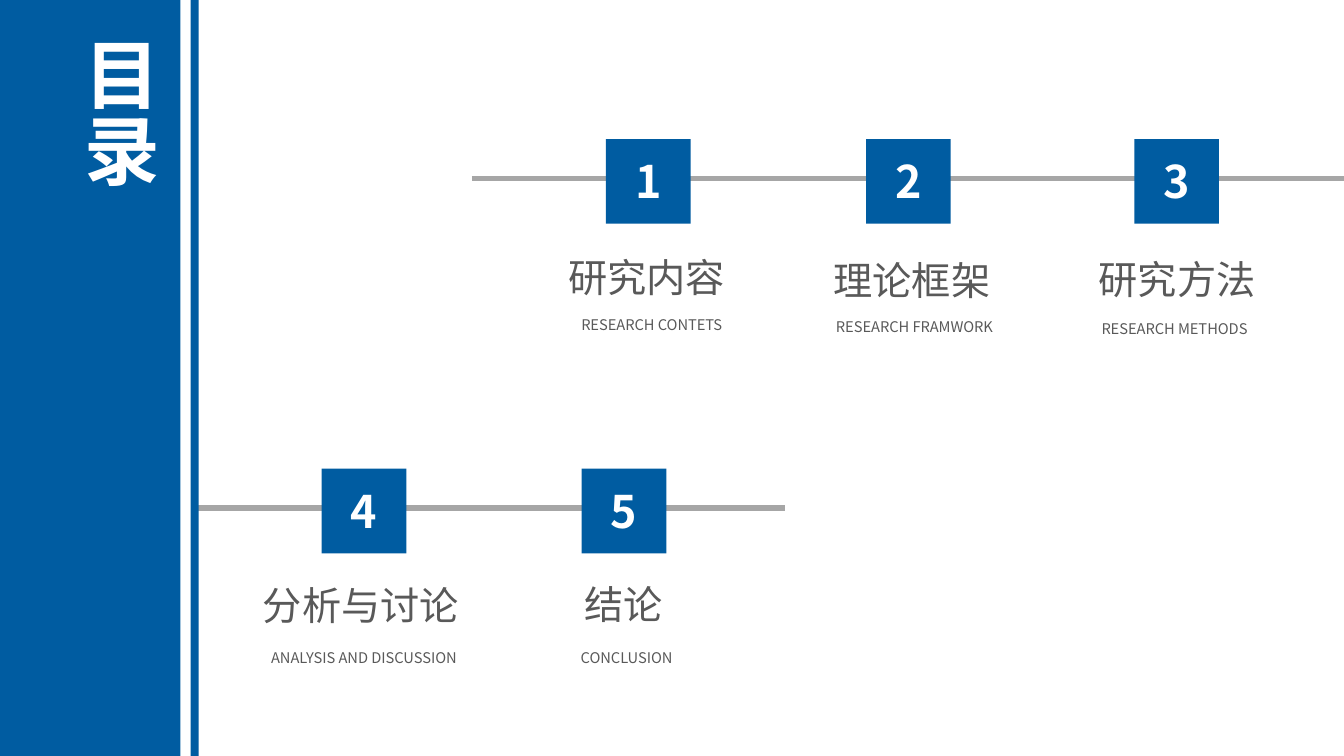
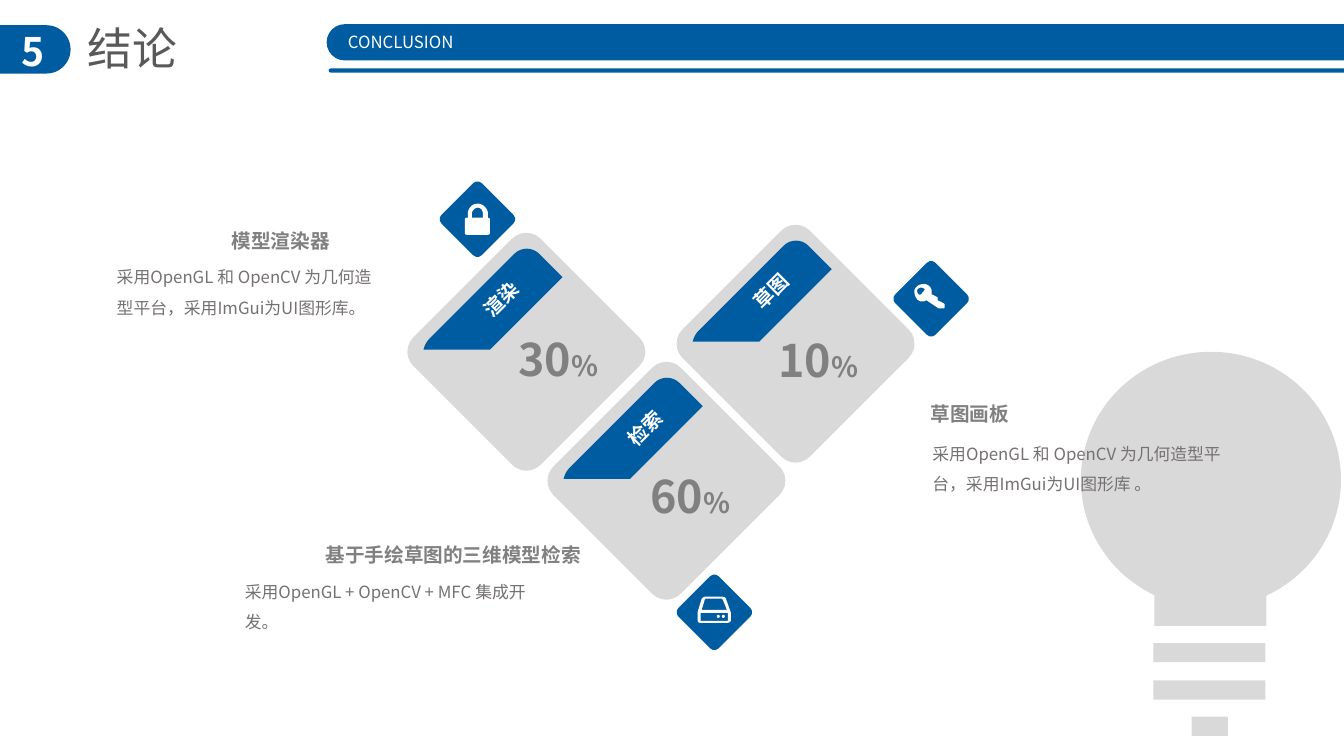
from lxml import etree
from pptx import Presentation
from pptx import util as u
from pptx.dml.color import RGBColor
from pptx.enum import shapes, text
from pptx.oxml.ns import qn

BLUE = RGBColor(0x00, 0x5C, 0xA1)
WHITE = RGBColor(0xFF, 0xFF, 0xFF)
PALE = RGBColor(0xD9, 0xD9, 0xD9)
RULE = RGBColor(0xA6, 0xA6, 0xA6)
DARK = RGBColor(0x59, 0x59, 0x59)
GRAY = RGBColor(0x80, 0x80, 0x80)
BODY = RGBColor(0x76, 0x71, 0x71)
FONT = "Noto Sans CJK SC"
KIND = shapes.MSO_SHAPE
ALIGN = text.PP_ALIGN

TOP = [
    (6.01, "研究内容", (5.54, 2.46, 1.77), "RESEARCH CONTETS", (5.63, 3.08, 1.67)),
    (8.59, "理论框架", (8.17, 2.49, 1.77), "RESEARCH FRAMWORK", (8.13, 3.1, 1.88)),
    (11.25, "研究方法", (10.8, 2.48, 1.77), "RESEARCH METHODS", (10.78, 3.12, 1.74)),
]
LOW = [
    (3.19, "分析与讨论", (2.51, 5.72, 2.17), "ANALYSIS AND DISCUSSION", (2.45, 6.39, 2.32)),
    (5.77, "结论", (5.7, 5.71, 0.99), "CONCLUSION", (5.62, 6.39, 1.19)),
]
CARDS = [
    (4.04, 2.31, "渲染", (4.68, 2.8), "30", (5.04, 3.24)),
    (5.43, 3.59, "检索", (6.11, 4.08), "60", (6.35, 4.6)),
    (6.71, 2.23, "草图", (7.36, 2.72), "10", (7.62, 3.25)),
]
NOTES = [
    ("模型渲染器", (2.2, 2.22, 1.18),
     "采用OpenGL 和 OpenCV 为几何造型平台，采用ImGui为UI图形库。", (1.06, 2.5, 2.8)),
    ("基于手绘草图的三维模型检索", (3.13, 5.34, 2.75),
     "采用OpenGL + OpenCV + MFC 集成开发。", (2.33, 5.62, 3.13)),
    ("草图画板", (9.13, 3.94, 0.99),
     "采用OpenGL 和 OpenCV 为几何造型平台，采用ImGui为UI图形库 。", (9.15, 4.25, 3.13)),
]

RIBBON = [[(1.31, 0.21), (1.24, 0.14, 1.13, 0.14, 1.06, 0.21), (0.22, 1.05),
           (0.19, 1.08, 0.17, 1.12, 0.16, 1.16), (0.82, 1.16), (1.54, 0.44)]]
SHACKLE = [[(4.64, 2.17), (4.64, 2.12), (4.64, 2.07, 4.68, 2.02, 4.74, 2.02),
            (4.79, 2.02, 4.84, 2.07, 4.84, 2.12), (4.84, 2.17), (4.79, 2.17),
            (4.79, 2.12), (4.79, 2.09, 4.77, 2.06, 4.74, 2.06),
            (4.71, 2.06, 4.68, 2.09, 4.68, 2.12), (4.68, 2.17)]]
KEY = [
    [(9.14, 2.82), (9.09, 2.83, 9.06, 2.87, 9.07, 2.91),
     (9.08, 2.96, 9.11, 3, 9.16, 2.99), (9.17, 2.99, 9.18, 2.98, 9.19, 2.98),
     (9.31, 3.06), (9.36, 3.06), (9.37, 3.05), (9.37, 3.02), (9.36, 3.01),
     (9.3, 2.98), (9.3, 2.95), (9.24, 2.92),
     (9.24, 2.9, 9.24, 2.89, 9.24, 2.88), (9.23, 2.83, 9.18, 2.81, 9.14, 2.82)],
    [(9.16, 2.86), (9.18, 2.87, 9.17, 2.88, 9.15, 2.9),
     (9.14, 2.92, 9.13, 2.93, 9.11, 2.92), (9.1, 2.91, 9.09, 2.89, 9.1, 2.87),
     (9.12, 2.85, 9.14, 2.85, 9.16, 2.86)],
]
DRIVE = [
    [(7.25, 6.15), (7.25, 6.17, 7.23, 6.18, 7.21, 6.18), (6.95, 6.18),
     (6.93, 6.18, 6.92, 6.17, 6.92, 6.15), (6.92, 6.07), (6.96, 5.94),
     (6.97, 5.93, 6.98, 5.92, 7, 5.92), (7.16, 5.92),
     (7.18, 5.92, 7.2, 5.93, 7.2, 5.94), (7.25, 6.08)],
    [(7.22, 6.08), (6.95, 6.08), (6.95, 6.16), (7.22, 6.16)],
    [(7.21, 6.05), (7.17, 5.95), (7.16, 5.94), (7, 5.94), (6.99, 5.95), (6.96, 6.05)],
]


def paint(shape, fill):
    shape.shadow.inherit = False
    shape.fill.solid()
    shape.fill.fore_color.rgb = fill
    shape.line.fill.background()


def block(slide, kind, x, y, w, h, fill, adj=None, turn=0):
    shape = slide.shapes.add_shape(kind, *map(u.Inches, (x, y, w, h)))
    paint(shape, fill)
    if adj is not None:
        shape.adjustments[0] = adj
    shape.rotation = turn


def trace(path, dx, dy, steps=8):
    points = []
    for item in path:
        if len(item) == 2:
            points.append(item)
            continue
        knots = [points[-1], item[:2], item[2:4], item[4:]]
        for i in range(1, steps + 1):
            t = i / steps
            mix = ((1 - t) ** 3, 3 * t * (1 - t) ** 2, 3 * t * t * (1 - t), t ** 3)
            points.append(tuple(sum(m * k[a] for m, k in zip(mix, knots)) for a in (0, 1)))
    return [(u.Inches(x + dx), u.Inches(y + dy)) for x, y in points]


def outline(slide, paths, fill, dx=0, dy=0):
    first, *rest = [trace(path, dx, dy) for path in paths]
    pen = slide.shapes.build_freeform(*first[0], scale=1.0)
    pen.add_line_segments(first[1:], close=True)
    for points in rest:
        pen.move_to(*points[0])
        pen.add_line_segments(points[1:], close=True)
    paint(pen.convert_to_shape(), fill)


def diamond(slide, x, y, size, radius, fill):
    side = (size - 2 * radius) / 2 ** 0.5 + 2 * radius
    gap = (size - side) / 2
    block(slide, KIND.ROUNDED_RECTANGLE, x + gap, y + gap, side, side, fill,
          radius / side, 45)


def rail(slide, x, y, end):
    line = slide.shapes.add_connector(
        shapes.MSO_CONNECTOR.STRAIGHT, *map(u.Inches, (x, y, end, y)))
    line.line.color.rgb = RULE
    line.line.width = u.Pt(4)
    etree.SubElement(line._element.spPr, qn("a:effectLst"))


def label(slide, words, x, y, w, h, size, color, bold=False, align=ALIGN.LEFT,
          wrap=False, space=None, turn=0, vert=None):
    box = slide.shapes.add_textbox(*map(u.Inches, (x, y, w, h)))
    box.rotation = turn
    frame = box.text_frame
    frame.word_wrap = wrap
    frame.auto_size = text.MSO_AUTO_SIZE.SHAPE_TO_FIT_TEXT
    if vert:
        frame._txBody.bodyPr.set("vert", vert)
    para = frame.paragraphs[0]
    para.alignment = align
    if space:
        para.line_spacing = space
    font = para.font
    font.name, font.bold, font.size = FONT, bold, u.Pt(size)
    font.color.rgb = color
    props = para._p.pPr.find(qn("a:defRPr"))
    etree.SubElement(props, qn("a:ea")).set("typeface", FONT)
    runs = [(words, None)] if isinstance(words, str) else words
    for words, points in runs:
        run = para.add_run()
        run.text = words
        if points:
            run.font.size = u.Pt(points)


def step(slide, num, y, x, name, place, sub, spot):
    side, wide = 0.84, 1.07
    block(slide, KIND.RECTANGLE, x, y, side, side, BLUE)
    label(slide, str(num), x + (side - wide) / 2, y + 0.1, wide, 0.64, 32, WHITE,
          True, ALIGN.CENTER, True)
    label(slide, name, *place, 0.57, 28, DARK)
    label(slide, sub, *spot, 0.28, 10.5, DARK, align=ALIGN.CENTER)


def card(slide, x, y, name, place, value, spot):
    diamond(slide, x, y, 2.36, 0.2, PALE)
    outline(slide, RIBBON, BLUE, x, y)
    label(slide, name, *place, 0.59, 0.34, 14, WHITE, True, turn=315.2)
    label(slide, [(value, 32), ("%", 20)], *spot, 1.02, 0.64, 32, GRAY, True)


def bulb(slide):
    block(slide, KIND.OVAL, 10.72, 3.49, 2.58, 2.54, PALE)
    for x, y, w, h in ((11.45, 5.8, 1.11, 0.41), (11.44, 6.38, 1.11, 0.19),
                       (11.44, 6.75, 1.11, 0.19), (11.82, 7.11, 0.36, 0.19)):
        block(slide, KIND.RECTANGLE, x, y, w, h, PALE)


def header(slide, num, name, sub):
    pill = KIND.ROUNDED_RECTANGLE
    block(slide, pill, -0.28, 0.25, 0.98, 0.48, BLUE, 0.5)
    label(slide, num, 0.07, 0.22, 0.51, 0.57, 28, WHITE, True, ALIGN.CENTER, True)
    label(slide, name, 0.77, 0.16, 1.1, 0.64, 32, DARK)
    block(slide, pill, 3.24, 0.24, 11.03, 0.36, BLUE, 0.5)
    block(slide, pill, 3.26, 0.68, 11.03, 0.04, BLUE, 0.5)
    label(slide, sub, 3.31, 0.27, 1.33, 0.3, 12, WHITE, align=ALIGN.CENTER)


def badges(slide):
    for x, y in ((4.36, 1.8), (8.86, 2.59), (6.71, 5.7)):
        diamond(slide, x, y, 0.75, 0.06, BLUE)
    block(slide, KIND.ROUNDED_RECTANGLE, 4.61, 2.16, 0.25, 0.17, WHITE, 0.12)
    for icon in (SHACKLE, KEY, DRIVE):
        outline(slide, icon, WHITE)
    for x in (7.11, 7.16):
        block(slide, KIND.OVAL, x, 6.1, 0.03, 0.03, WHITE)


def agenda(slide):
    rail(slide, 4.68, 1.77, 13.33)
    rail(slide, 1.9, 5.04, 7.79)
    for x, w in ((0, 1.79), (1.89, 0.08)):
        block(slide, KIND.RECTANGLE, x, 0, w, 7.5, BLUE)
    for start, y, row in ((1, 1.38, TOP), (4, 4.65, LOW)):
        for num, item in enumerate(row, start):
            step(slide, num, y, *item)
    label(slide, "目录", 0.58, 0.27, 1.11, 1.92, 54, WHITE, True, ALIGN.JUSTIFY,
          True, vert="eaVert")


def closing(slide):
    bulb(slide)
    header(slide, "5", "结论", "CONCLUSION")
    for item in CARDS:
        card(slide, *item)
    badges(slide)
    for name, place, words, spot in NOTES:
        label(slide, name, *place, 0.34, 14, GRAY, True)
        label(slide, words, *spot, 0.67, 12, BODY, wrap=True, space=1.5)


def main():
    deck = Presentation()
    deck.slide_width, deck.slide_height = u.Inches(13.33), u.Inches(7.5)
    for build in (agenda, closing):
        build(deck.slides.add_slide(deck.slide_layouts[6]))
    deck.save("out.pptx")


if __name__ == "__main__":
    main()
